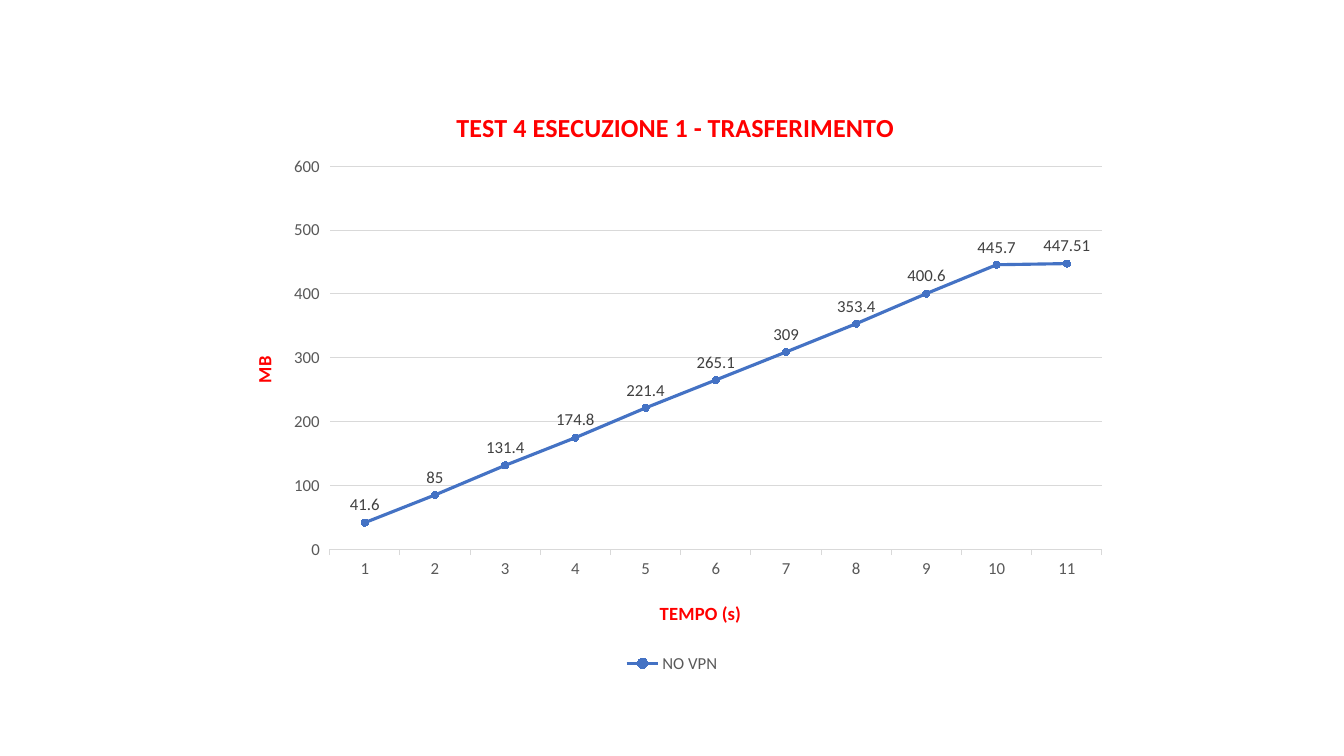
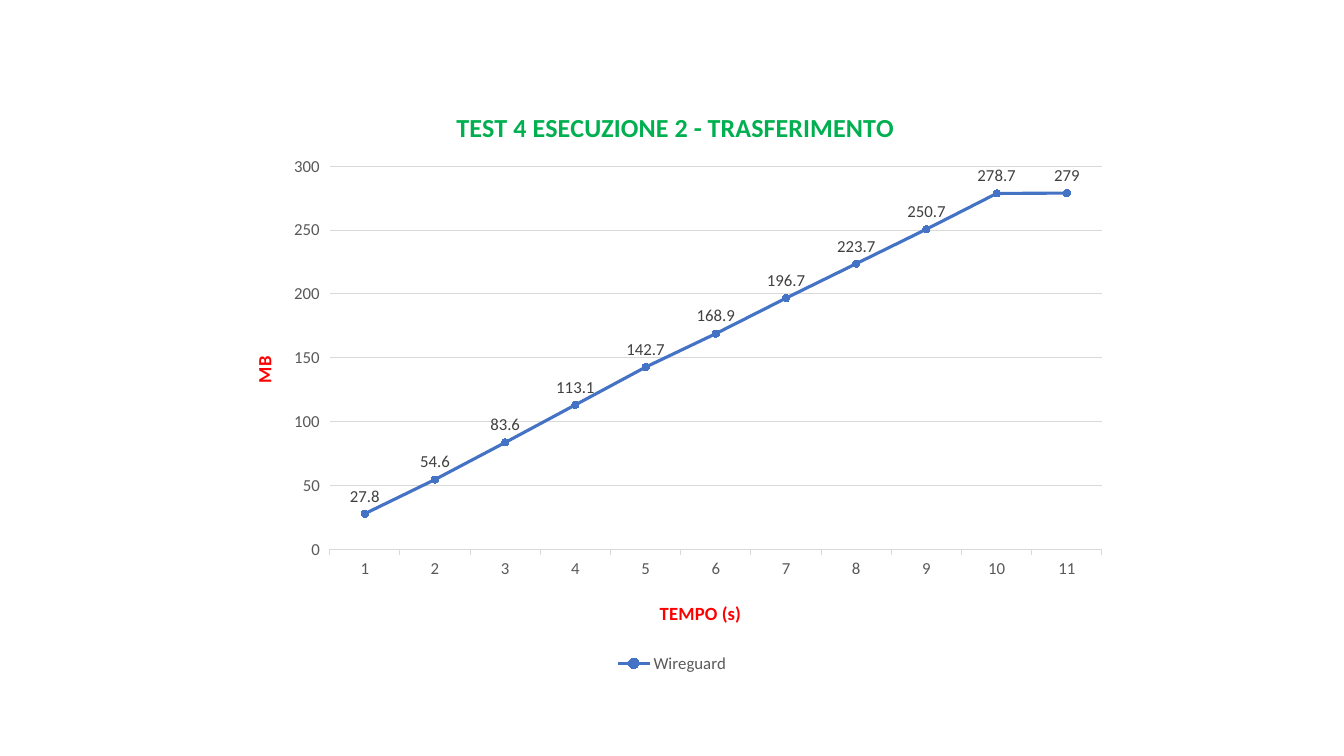
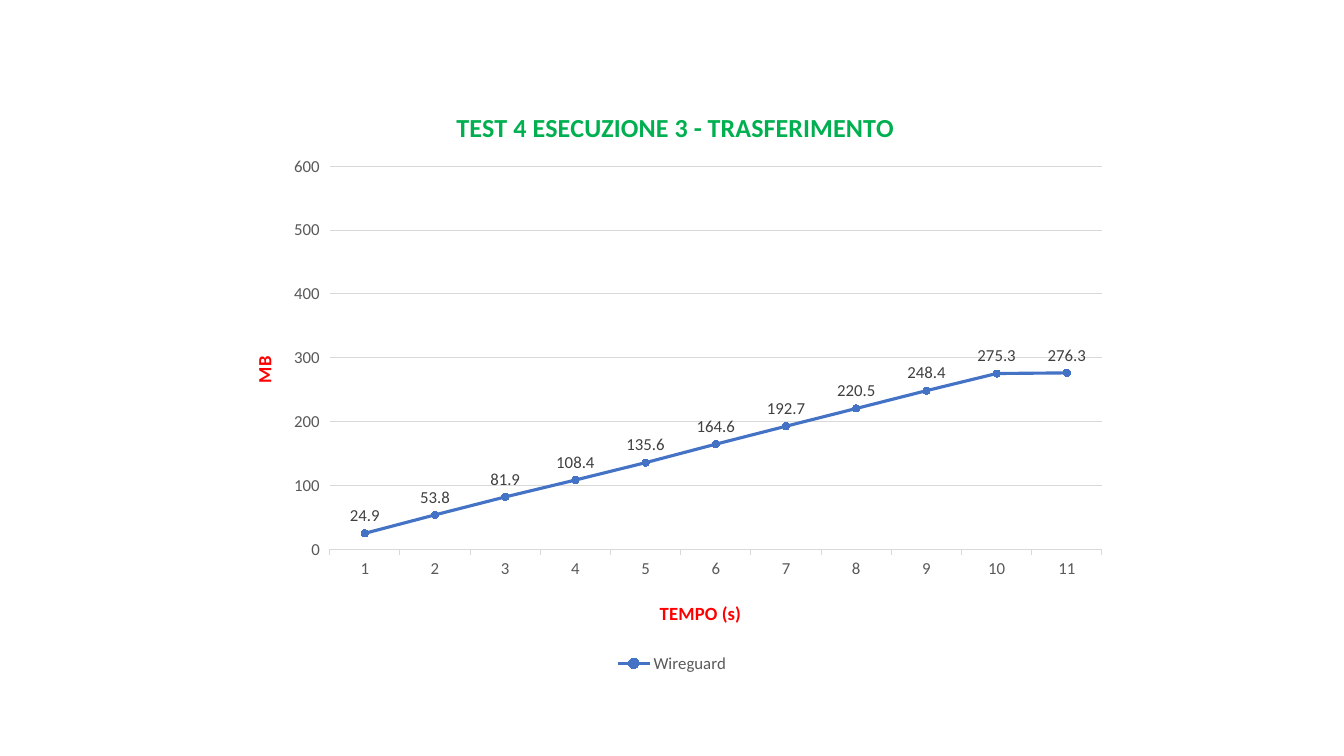
"""Build three slides, each charting the data transferred in one run of test 4."""
from lxml import etree
from pptx import Presentation
from pptx.chart.data import CategoryChartData
from pptx.dml.color import RGBColor
from pptx.enum.chart import XL_CHART_TYPE, XL_LABEL_POSITION, XL_LEGEND_POSITION, XL_MARKER_STYLE, XL_TICK_MARK
from pptx.oxml.ns import qn
from pptx.util import Inches, Pt

LINE_MARKERS = XL_CHART_TYPE.LINE_MARKERS
ABOVE = XL_LABEL_POSITION.ABOVE
BOTTOM = XL_LEGEND_POSITION.BOTTOM
CIRCLE = XL_MARKER_STYLE.CIRCLE
OUTSIDE = XL_TICK_MARK.OUTSIDE

RED = RGBColor(0xFF, 0x00, 0x00)
GREEN = RGBColor(0x00, 0xB0, 0x50)
BLUE = RGBColor(0x44, 0x72, 0xC4)
DARK_GRAY = RGBColor(0x40, 0x40, 0x40)
GRAY = RGBColor(0x59, 0x59, 0x59)
LIGHT_GRAY = RGBColor(0xD9, 0xD9, 0xD9)
FONT = "Calibri"

CHART_WIDTH = Inches(8.89)
CHART_HEIGHT = Inches(5.93)
SECONDS = [str(second) for second in range(1, 12)]
RUNS = [
    ("NO VPN", RED, 600, 100,
     [41.6, 85, 131.4, 174.8, 221.4, 265.1, 309, 353.4, 400.6, 445.7, 447.51]),
    ("Wireguard", GREEN, 300, 50,
     [27.8, 54.6, 83.6, 113.1, 142.7, 168.9, 196.7, 223.7, 250.7, 278.7, 279]),
    ("Wireguard", GREEN, 600, 100,
     [24.9, 53.8, 81.9, 108.4, 135.6, 164.6, 192.7, 220.5, 248.4, 275.3, 276.3]),
]


def place(element, index, settings):
    """Give a chart part a fixed layout inside the chart."""
    for old_layout in element.findall(qn("c:layout")):
        element.remove(old_layout)
    layout = etree.Element(qn("c:layout"))
    manual = etree.SubElement(layout, qn("c:manualLayout"))
    for name, value in settings.items():
        etree.SubElement(manual, qn(f"c:{name}")).set("val", str(value))
    element.insert(index, layout)


def write_title(title, text, size, color, left, top):
    """Write a bold chart or axis title at a place inside the chart."""
    title.text_frame.text = text
    font = title.text_frame.paragraphs[0].runs[0].font
    font.name = FONT
    font.size = Pt(size)
    font.bold = True
    font.color.rgb = color
    place(title.element, 1, {"xMode": "edge", "yMode": "edge",
                             "x": left / CHART_WIDTH, "y": top / CHART_HEIGHT})


presentation = Presentation()
presentation.slide_width = Inches(13.33)
presentation.slide_height = Inches(7.5)

for number, (name, title_color, maximum, step, values) in enumerate(RUNS, 1):
    slide = presentation.slides.add_slide(presentation.slide_layouts[6])
    chart_data = CategoryChartData()
    chart_data.categories = SECONDS
    chart_data.add_series(name, values)
    chart = slide.shapes.add_chart(LINE_MARKERS, Inches(2.22), Inches(0.79),
                                   CHART_WIDTH, CHART_HEIGHT, chart_data).chart
    chart.font.name = FONT
    chart.font.size = Pt(10)

    write_title(chart.chart_title, f"TEST 4 ESECUZIONE {number} - TRASFERIMENTO",
                18.6, title_color, Inches(2.26), Inches(0.25))
    time_axis = chart.category_axis
    transfer_axis = chart.value_axis
    write_title(time_axis.axis_title, "TEMPO (s)", 13.3, RED, Inches(4.29), Inches(5.13))
    write_title(transfer_axis.axis_title, "MB", 13.3, RED, Inches(0.24), Inches(2.71))
    transfer_axis.axis_title.element.find(".//" + qn("a:bodyPr")).set("rot", "-5400000")
    place(chart.element.find(".//" + qn("c:plotArea")), 0,
          {"layoutTarget": "inner", "xMode": "edge", "yMode": "edge",
           "x": Inches(1.05) / CHART_WIDTH, "y": Inches(0.86) / CHART_HEIGHT,
           "w": Inches(7.66) / CHART_WIDTH, "h": Inches(3.8) / CHART_HEIGHT})

    chart.has_legend = True
    chart.legend.position = BOTTOM
    chart.legend.include_in_layout = False

    time_axis.major_tick_mark = OUTSIDE
    transfer_axis.major_tick_mark = OUTSIDE
    transfer_axis.minimum_scale = 0
    transfer_axis.maximum_scale = maximum
    transfer_axis.major_unit = step
    transfer_axis.format.line.fill.background()
    for line in (time_axis.format.line, transfer_axis.major_gridlines.format.line):
        line.color.rgb = LIGHT_GRAY
        line.width = Pt(0.75)

    plot = chart.plots[0]
    plot.vary_by_categories = False
    series = plot.series[0]
    series.smooth = False
    series.format.line.color.rgb = BLUE
    series.format.line.width = Pt(2.25)
    series.marker.style = CIRCLE
    series.marker.size = 5
    series.marker.format.fill.solid()
    series.marker.format.fill.fore_color.rgb = BLUE
    series.marker.format.line.color.rgb = BLUE
    labels = series.data_labels
    labels.show_value = True
    labels.position = ABOVE

    for part, color in ((time_axis.tick_labels, GRAY), (transfer_axis.tick_labels, GRAY),
                        (chart.legend, GRAY), (labels, DARK_GRAY)):
        part.font.name = FONT
        part.font.size = Pt(12)
        part.font.color.rgb = color

presentation.save("out.pptx")
